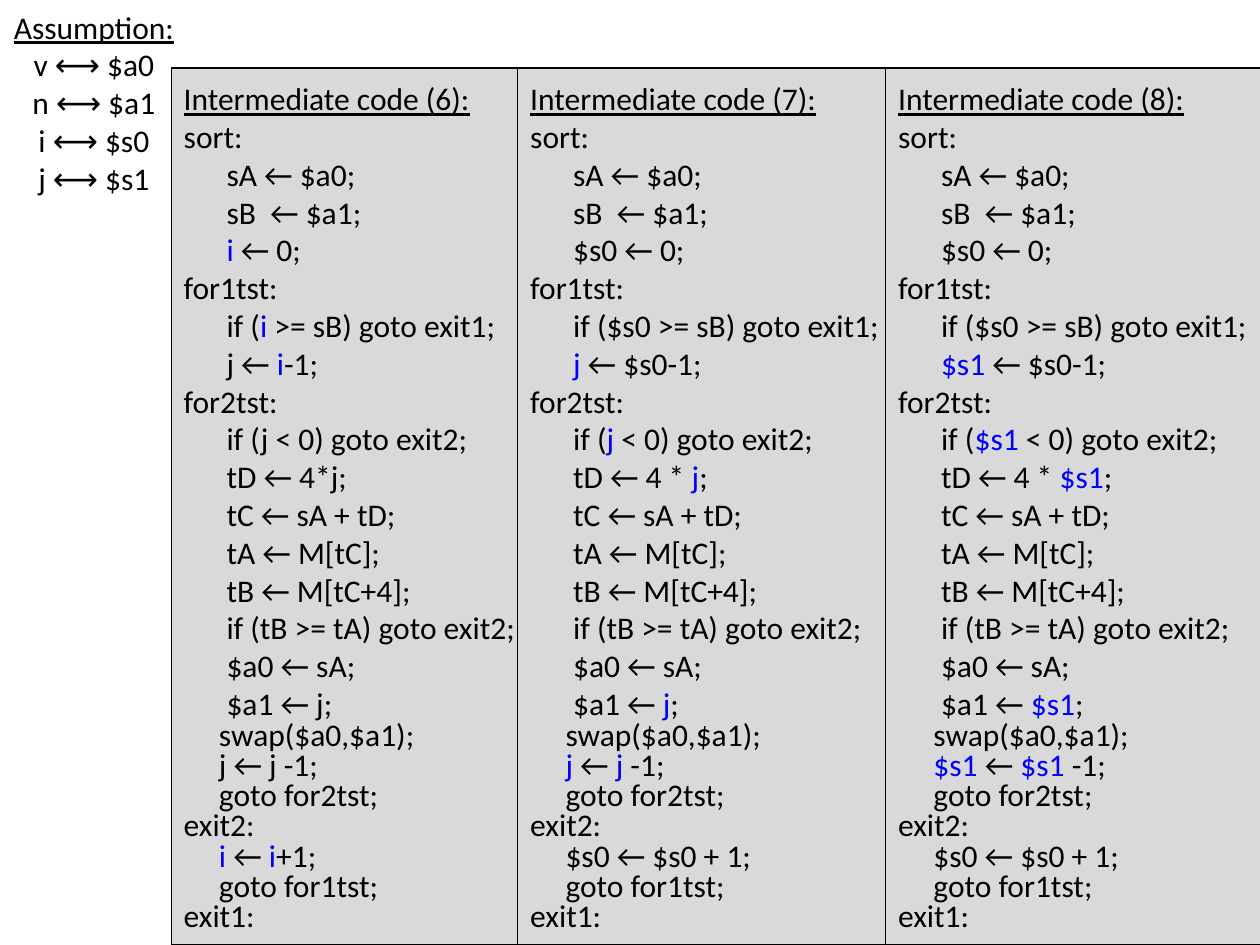
from pptx import Presentation
from pptx.dml.color import RGBColor
from pptx.enum import shapes, text
from pptx.util import Inches, Pt

COLORS = {"panel": "D9D9D9", "ink": "000000", "changed": "0000FF"}
FONT, SIZE = "Calibri", Pt(18)

# Content: registers assumed for each variable
ASSUMPTION = ["Assumption:", "v ⟷ $a0", "n ⟷ $a1", "i ⟷ $s0", "j ⟷ $s1"]

# Shared listing as (indent level, line); the second part is set tighter
LOOP_HEAD = [
    (0, "Intermediate code ({step}):"),
    (0, "sort:"),
    (1, "sA ← $a0;"),
    (1, "sB  ← $a1;"),
    (1, "{i} ← 0;"),
    (0, "for1tst:"),
    (1, "if ({i} >= sB) goto exit1;"),
    (1, "{j} ← {i}-1;"),
    (0, "for2tst:"),
    (1, "if ({j} < 0) goto exit2;"),
    (1, "tD ← 4{times}{j};"),
    (1, "tC ← sA + tD;"),
    (1, "tA ← M[tC];"),
    (1, "tB ← M[tC+4];"),
    (1, "if (tB >= tA) goto exit2;"),
    (1, "$a0 ← sA;"),
    (1, "$a1 ← {j};"),
]
LOOP_TAIL = [
    (0.83, "swap($a0,$a1);"),
    (0.83, "{j} ← {j} -1;"),
    (0.83, "goto for2tst;"),
    (0, "exit2:"),
    (0.83, "{i} ← {i}{plus}1;"),
    (0.83, "goto for1tst;"),
    (0, "exit1:"),
]

# Bars enclose the names highlighted in each step
STEPS = [
    {"step": 6, "i": "|i|", "j": "j", "times": "*", "plus": "+"},
    {"step": 7, "i": "$s0", "j": "|j|", "times": " * ", "plus": " + "},
    {"step": 8, "i": "$s0", "j": "|$s1|", "times": " * ", "plus": " + "},
]
PANEL_SPANS = [(1.36, 2.86), (4.11, 2.99), (7.03, 2.99)]  # left, width
PANEL_TOP, PANEL_HEIGHT = 0.54, 6.96
INDENT = 0.34


def color(name):
    return RGBColor.from_string(COLORS[name])


def prepare(frame):
    frame.word_wrap = False
    frame.auto_size = text.MSO_AUTO_SIZE.NONE
    frame.vertical_anchor = text.MSO_ANCHOR.MIDDLE


def write_lines(frame, lines, align):
    """Fill the frame; the first line is an underlined heading."""
    for number, line in enumerate(lines):
        paragraph = frame.paragraphs[0] if number == 0 else frame.add_paragraph()
        paragraph.alignment = align
        for part, words in enumerate(line.split("|")):
            if not words:
                continue
            run = paragraph.add_run()
            run.text = words
            run.font.name, run.font.size = FONT, SIZE
            run.font.underline = number == 0
            run.font.color.rgb = color("changed" if part % 2 else "ink")


def add_panel(slide, step, left, width):
    panel = slide.shapes.add_shape(
        shapes.MSO_SHAPE.RECTANGLE, Inches(left), Inches(PANEL_TOP),
        Inches(width), Inches(PANEL_HEIGHT))
    panel.shadow.inherit = False
    panel.fill.solid()
    panel.fill.fore_color.rgb = color("panel")
    panel.line.color.rgb = color("ink")
    panel.line.width = Pt(0.75)

    frame = panel.text_frame
    prepare(frame)
    listing = LOOP_HEAD + LOOP_TAIL
    write_lines(frame, [line.format(**step) for _, line in listing],
                text.PP_ALIGN.LEFT)
    for number, (level, _) in enumerate(listing):
        paragraph = frame.paragraphs[number]
        margin = Inches(round(level * INDENT, 2))
        paragraph._p.get_or_add_pPr().set("marL", str(margin))
        if number >= len(LOOP_HEAD):
            paragraph.line_spacing = 0.8


def main():
    deck = Presentation()
    deck.slide_width, deck.slide_height = Inches(10), Inches(7.5)
    slide = deck.slides.add_slide(deck.slide_layouts[6])

    # Code panels, left to right
    for step, (left, width) in zip(STEPS, PANEL_SPANS):
        add_panel(slide, step, left, width)

    # Register assumptions
    assumption = slide.shapes.add_textbox(0, 0, Inches(1.49), Inches(1.62))
    prepare(assumption.text_frame)
    write_lines(assumption.text_frame, ASSUMPTION, text.PP_ALIGN.CENTER)

    deck.save("out.pptx")


if __name__ == "__main__":
    main()
